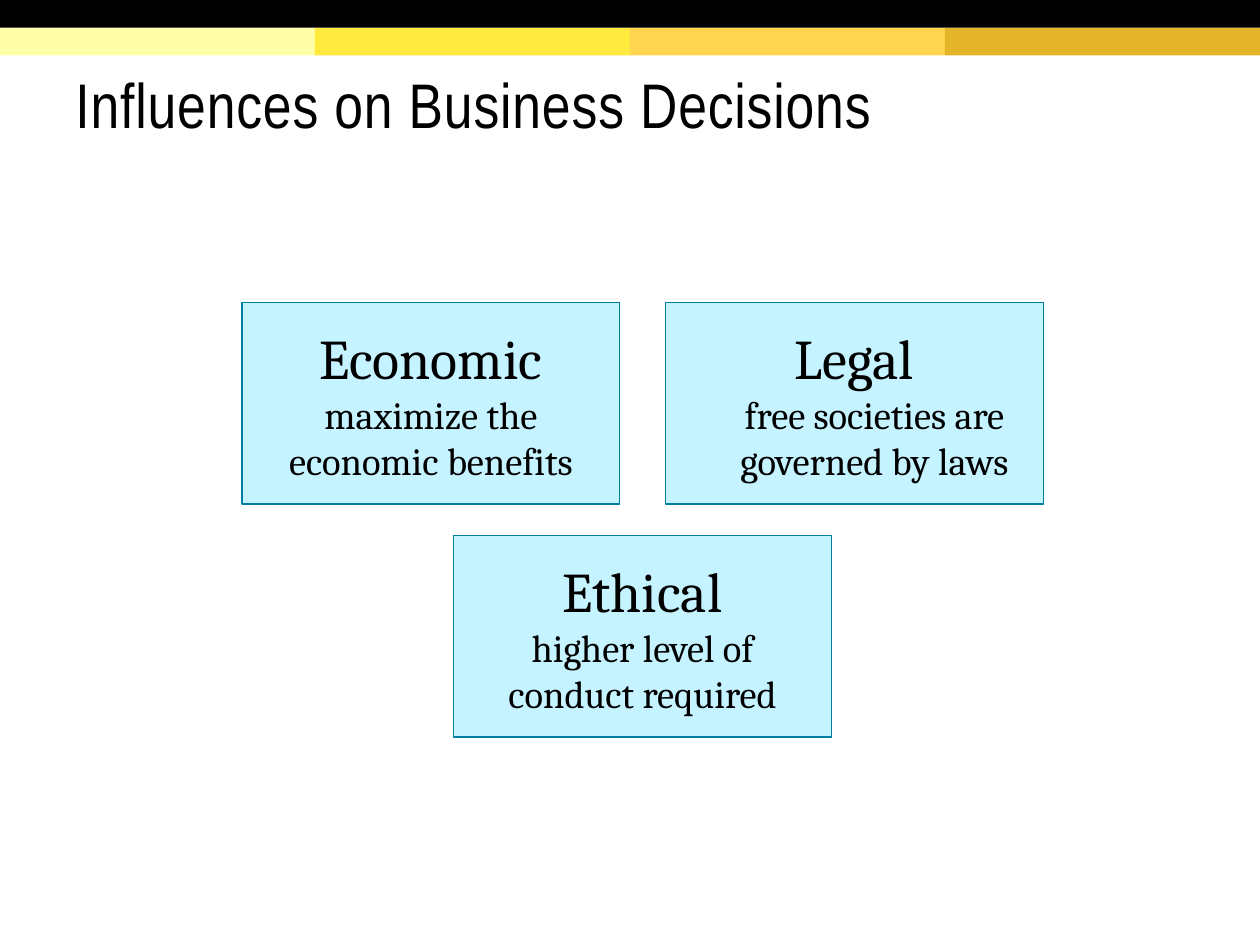
from pptx import Presentation
from pptx.dml.color import RGBColor
from pptx.enum import shapes, text
from pptx.util import Inches, Pt

BLACK = RGBColor(0x00, 0x00, 0x00)
PALE_BLUE = RGBColor(0xC5, 0xF3, 0xFF)
TEAL = RGBColor(0x00, 0x7F, 0xA3)
YELLOWS = [
    RGBColor(0xFF, 0xFF, 0xAA),
    RGBColor(0xFF, 0xEA, 0x3D),
    RGBColor(0xFF, 0xD5, 0x4F),
    RGBColor(0xE4, 0xB4, 0x29),
]
BAND_HEIGHT = 0.22
INFLUENCES = [
    # heading, description, left, top, hanging indent, space before
    ("Economic", "maximize the economic benefits", 1.92, 2.4, 0, 0),
    ("Legal", "free societies are governed by laws", 5.28, 2.4, 0.32, 8),
    ("Ethical", "higher level of conduct required", 3.6, 4.25, 0, 8),
]

deck = Presentation()
deck.slide_width = Inches(10)
deck.slide_height = Inches(7.5)
page = deck.slides.add_slide(deck.slide_layouts[6])


def add_rectangle(left, top, width, height, fill):
    box = page.shapes.add_shape(
        shapes.MSO_SHAPE.RECTANGLE,
        Inches(left), Inches(top), Inches(width), Inches(height))
    box.shadow.inherit = False
    box.fill.solid()
    box.fill.fore_color.rgb = fill
    box.line.fill.background()
    return box


def set_frame(frame, bottom):
    frame.word_wrap = True
    frame.vertical_anchor = text.MSO_ANCHOR.MIDDLE
    frame.margin_left = frame.margin_right = frame.margin_top = Inches(0.1)
    frame.margin_bottom = Inches(bottom)


# Header bands
for index, yellow in enumerate(YELLOWS):
    add_rectangle(2.5 * index, BAND_HEIGHT, 2.5, BAND_HEIGHT, yellow)
add_rectangle(0, 0, 10, BAND_HEIGHT, BLACK)

# Title
title = page.shapes.add_textbox(Inches(0.5), Inches(0.24), Inches(9), Inches(1.2))
set_frame(title.text_frame, bottom=0.05)
para = title.text_frame.paragraphs[0]
para.line_spacing = 0.85
para.font.name = "Arial Narrow"
para.font.size = Pt(36)
para.font.color.rgb = BLACK
span = para.add_run()
span.text = "Influences on Business Decisions"
span.font._element.set("spc", "50")

# Influence boxes
for heading, description, left, top, indent, space_before in INFLUENCES:
    box = add_rectangle(left, top, 3, 1.6, PALE_BLUE)
    box.line.color.rgb = TEAL
    box.line.width = Pt(0.75)
    set_frame(box.text_frame, bottom=0.1)
    para = box.text_frame.paragraphs[0]
    para.alignment = text.PP_ALIGN.CENTER
    para.space_before = Pt(space_before)
    para.space_after = Pt(8)
    para.font.name = "Cambria"
    para.font.color.rgb = BLACK
    if indent:
        properties = para._p.get_or_add_pPr()
        properties.set("marL", str(Inches(indent)))
        properties.set("indent", str(-Inches(indent)))
    span = para.add_run()
    span.text = heading
    span.font.size = Pt(32)
    para.add_line_break()
    span = para.add_run()
    span.text = description
    span.font.size = Pt(22)

deck.save("out.pptx")
